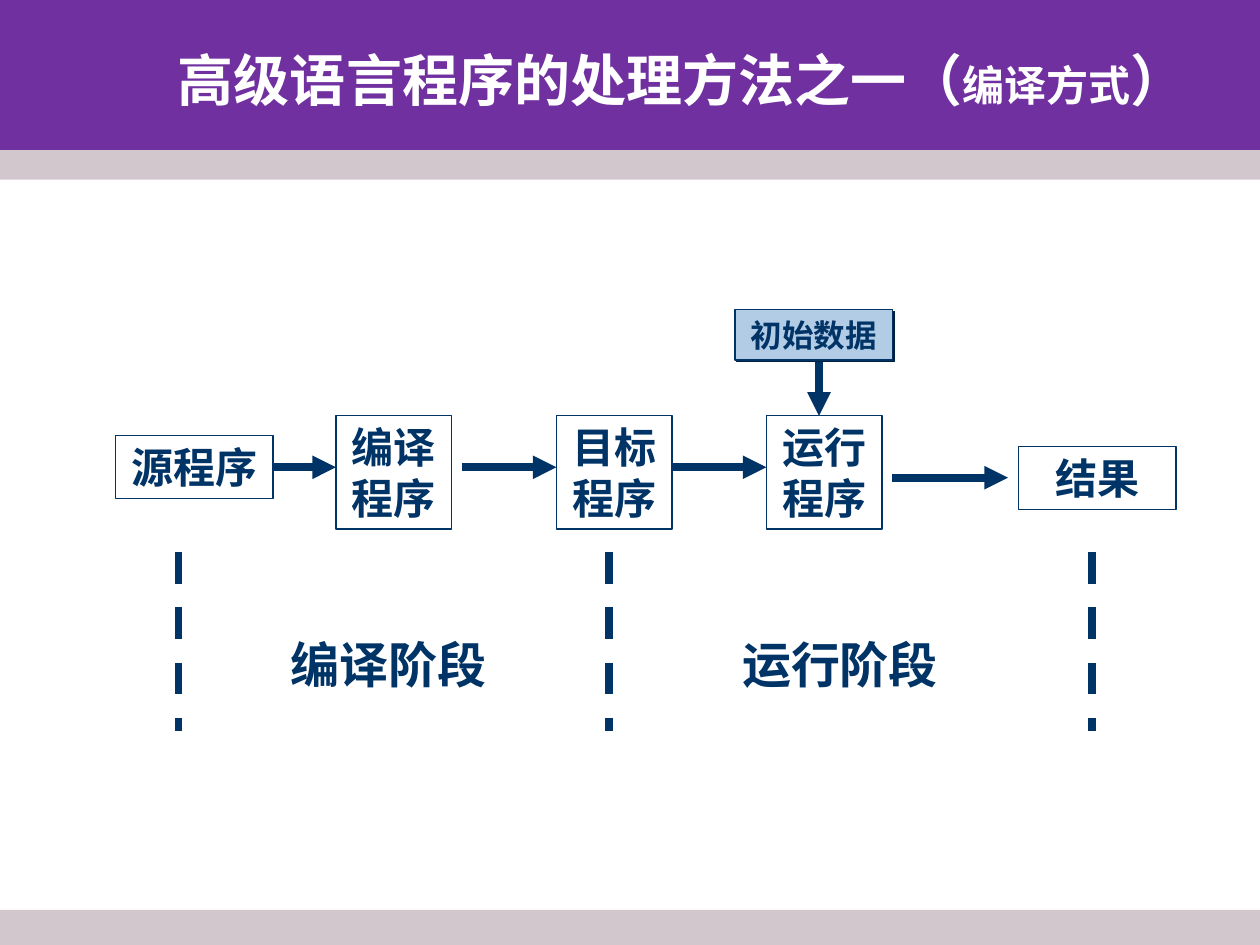
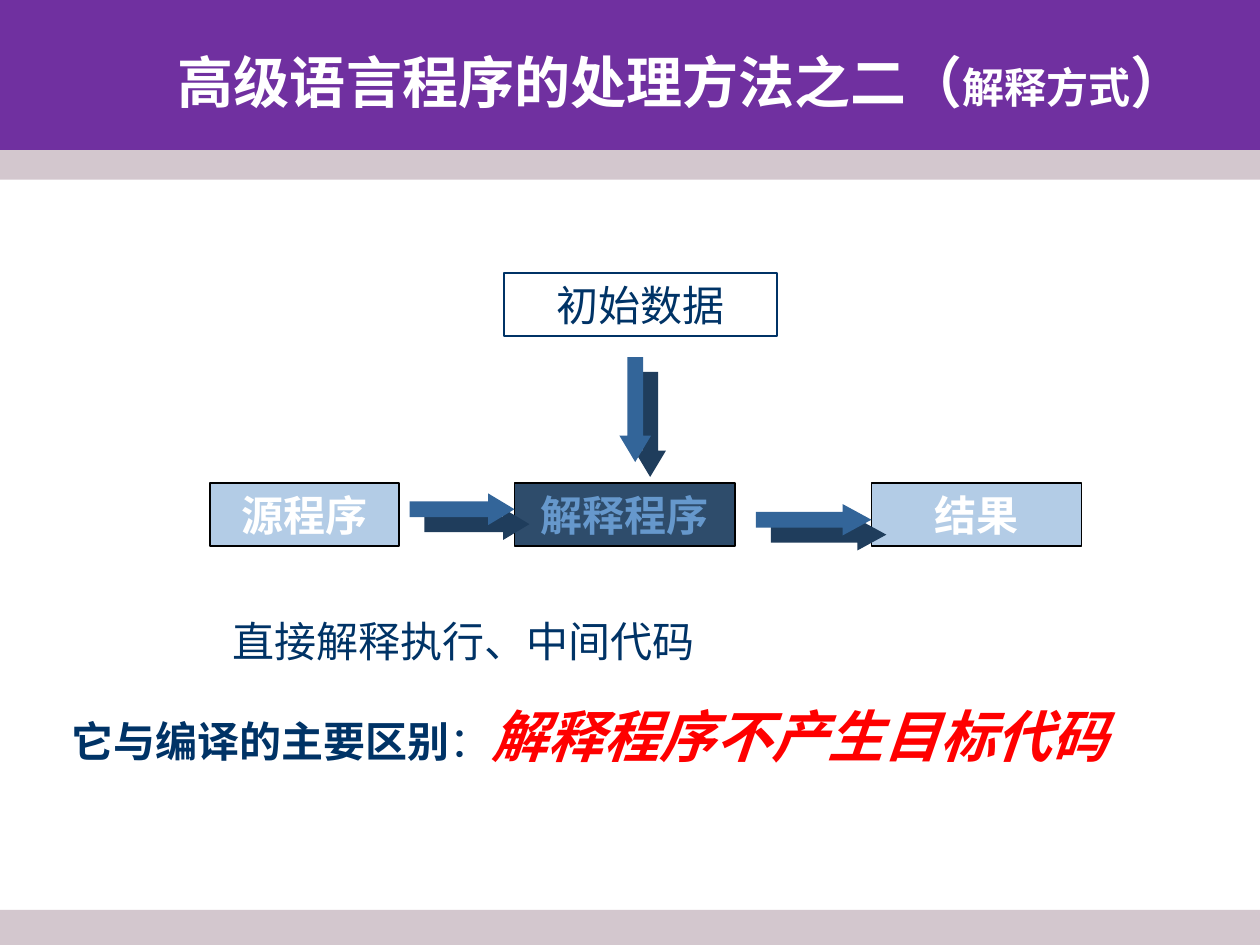
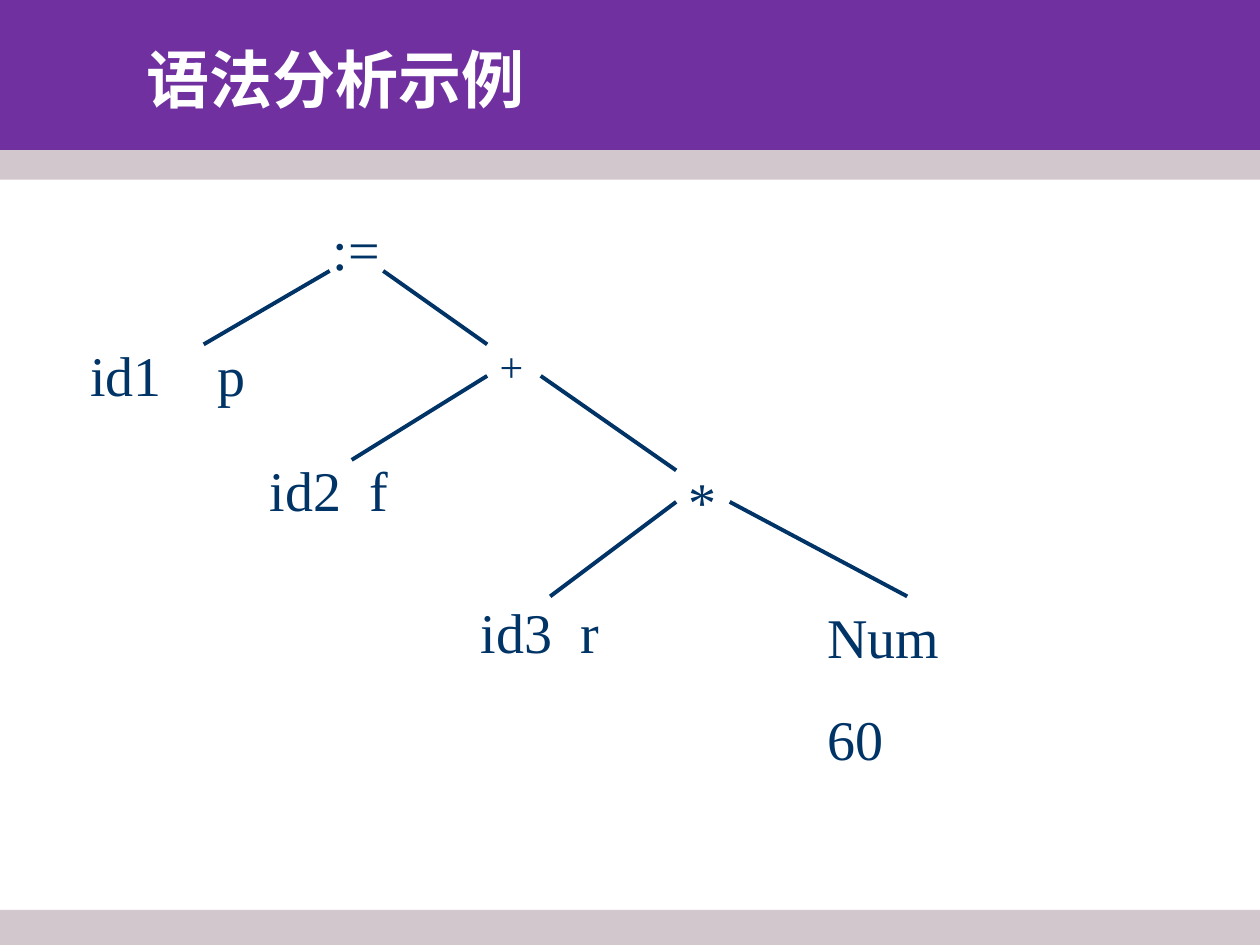
from dataclasses import dataclass

from lxml import etree
from pptx import Presentation
from pptx.dml.color import RGBColor
from pptx.enum.dml import MSO_LINE
from pptx.enum.shapes import MSO_CONNECTOR, MSO_SHAPE
from pptx.enum.text import MSO_ANCHOR, MSO_AUTO_SIZE, PP_ALIGN
from pptx.oxml.ns import qn
from pptx.util import Inches, Pt

CENTER, LEFT = PP_ALIGN.CENTER, PP_ALIGN.LEFT
TOP, MIDDLE = MSO_ANCHOR.TOP, MSO_ANCHOR.MIDDLE
FIXED_SIZE = MSO_AUTO_SIZE.NONE
RECTANGLE = MSO_SHAPE.RECTANGLE
RIGHT_ARROW, DOWN_ARROW = MSO_SHAPE.RIGHT_ARROW, MSO_SHAPE.DOWN_ARROW
STRAIGHT = MSO_CONNECTOR.STRAIGHT
DASH = MSO_LINE.DASH

SLIDE_WIDTH, SLIDE_HEIGHT = Inches(10), Inches(7.5)
COLUMNS, ROWS = 120, 90
TITLE_ONLY = 5
SERIF, SANS = "Times New Roman", "Noto Sans CJK SC"
COLORS = {
    "purple": "7030A0",
    "band": "D3C7CE",
    "navy": "003366",
    "navy_shadow": "001F3D",
    "pale": "B3CCE6",
    "slate": "2E4C6B",
    "sky": "6698CC",
    "arrow": "336599",
    "arrow_shadow": "1F3D5C",
    "white": "FFFFFF",
    "black": "000000",
    "red": "FF0000",
}


@dataclass
class Box:
    """A region of the slide, measured in grid columns and rows."""

    left: float
    top: float
    width: float
    height: float

    def point(self, column, row):
        """Turn a grid point inside the region into slide lengths."""
        return (
            round((self.left + column) * SLIDE_WIDTH / COLUMNS),
            round((self.top + row) * SLIDE_HEIGHT / ROWS),
        )

    def frame(self):
        """Give the region's left, top, width and height as slide lengths."""
        left, top = self.point(0, 0)
        right, bottom = self.point(self.width, self.height)
        return left, top, right - left, bottom - top

    def inner(self, left, top, width, height):
        """Give a region placed relative to this one."""
        return Box(self.left + left, self.top + top, width, height)


def rgb(name):
    """Look up a named colour."""
    return RGBColor.from_string(COLORS[name])


def format_run(run, size, color, bold=False, italic=False, font=SERIF):
    """Set the font of one run."""
    run.font.name = font
    run.font.size = Pt(size)
    run.font.color.rgb = rgb(color)
    run.font.bold = bold
    run.font.italic = italic


def prepare_frame(text_frame, anchor=TOP):
    """Give a text frame wrapping, a fixed size and an anchor."""
    text_frame.word_wrap = True
    text_frame.auto_size = FIXED_SIZE
    text_frame.vertical_anchor = anchor


def write_text(text_frame, text, size, color="navy", bold=False, align=CENTER):
    """Fill a text frame with evenly formatted paragraphs."""
    prepare_frame(text_frame)
    text_frame.text = text
    for paragraph in text_frame.paragraphs:
        paragraph.alignment = align
        paragraph.space_before = Pt(size * 0.625)
        for run in paragraph.runs:
            format_run(run, size, color, bold)


def write_runs(paragraph, runs):
    """Add runs, each a text with its font settings."""
    for text, settings in runs:
        run = paragraph.add_run()
        run.text = text
        format_run(run, **settings)


def add_shape(slide, kind, box, fill=None, line=None):
    """Add a flat preset shape."""
    shape = slide.shapes.add_shape(kind, *box.frame())
    shape.shadow.inherit = False
    if fill:
        shape.fill.solid()
        shape.fill.fore_color.rgb = rgb(fill)
    else:
        shape.fill.background()
    if line:
        shape.line.color.rgb = rgb(line)
        shape.line.width = Pt(0.75)
    else:
        shape.line.fill.background()
    return shape


def add_label_box(slide, box, text, size=24, color="navy", bold=True, fill=None, line="navy"):
    """Add a bordered box with centred text."""
    shape = add_shape(slide, RECTANGLE, box, fill, line)
    write_text(shape.text_frame, text, size, color, bold)
    return shape


def add_text(slide, box, text, size, bold=False, align=LEFT):
    """Add a plain text box."""
    text_frame = slide.shapes.add_textbox(*box.frame()).text_frame
    write_text(text_frame, text, size, bold=bold, align=align)
    return text_frame


def add_shadow(shape, color, distance):
    """Give a shape a hard shadow to the lower right."""
    effects = shape._element.spPr.find(qn("a:effectLst"))
    shadow = etree.SubElement(
        effects, qn("a:outerShdw"), dist=str(Pt(distance)), dir="2700000", algn="ctr", rotWithShape="0"
    )
    etree.SubElement(shadow, qn("a:srgbClr"), val=COLORS[color])


def add_line(slide, box, start, end, width, arrow=False, dash=None):
    """Add a straight line between two grid points of a region."""
    connector = slide.shapes.add_connector(STRAIGHT, *box.point(*start), *box.point(*end))
    connector.line.color.rgb = rgb("navy")
    connector.line.width = Pt(width)
    if dash:
        connector.line.dash_style = dash
    if arrow:
        etree.SubElement(connector.line._get_or_add_ln(), qn("a:tailEnd"), type="triangle")
    etree.SubElement(connector._element.spPr, qn("a:effectLst"))


def add_tab_stop(paragraph, position):
    """Set one left tab stop, in inches."""
    tabs = etree.SubElement(paragraph._p.get_or_add_pPr(), qn("a:tabLst"))
    etree.SubElement(tabs, qn("a:tab"), pos=str(Inches(position)), algn="l")


def decorate_layout(layout, slide):
    """Put the title band and both grey bands behind the layout's placeholders."""
    bands = [
        (Box(0, 0, 120, 15.7), "purple"),
        (Box(0, 14.3, 120, 2.8), "band"),
        (Box(0, 86.65, 120, 3.35), "band"),
    ]
    for index, (box, fill) in enumerate(bands):
        band = add_shape(slide, RECTANGLE, box, fill)
        layout.shapes._spTree.insert(2 + index, band._element)


def add_title(slide, box, runs, align):
    """Place the title placeholder and fill it with formatted runs."""
    title = slide.shapes.title
    title.left, title.top, title.width, title.height = box.frame()
    prepare_frame(title.text_frame, MIDDLE)
    paragraph = title.text_frame.paragraphs[0]
    paragraph.alignment = align
    write_runs(paragraph, runs)


def add_method_title(slide, box, heading, method):
    """Write a heading followed by a smaller method name in brackets."""
    large = dict(size=32, color="white", bold=True, font=SANS)
    small = dict(size=24, color="white", bold=True)
    add_title(slide, box, [(heading + "（", large), (method, small), ("）", large)], CENTER)


def draw_compile_flow(slide, box):
    """Draw the chain from source program to result."""
    add_label_box(slide, box.inner(0, 12, 15, 6), "源程序")
    for left, text in [(21, "编译程序"), (42, "目标程序"), (62, "运行程序")]:
        add_label_box(slide, box.inner(left, 10.1, 11, 10.8), text)
    add_label_box(slide, box.inner(86, 13, 15, 6), "结果")
    data = add_label_box(slide, box.inner(59, 0, 15, 4.8), "初始数据", size=18, fill="pale")
    add_shadow(data, "navy_shadow", 1.4)
    arrows = [
        ((15, 15), (21, 15)),
        ((33, 15), (42, 15)),
        ((53, 15), (62, 15)),
        ((74, 16), (85, 16)),
        ((67, 5), (67, 10.1)),
    ]
    for start, end in arrows:
        add_line(slide, box, start, end, 4.5, arrow=True)


def draw_stages(slide, box):
    """Draw the dashed dividers and the stage names between them."""
    for column in (0, 41, 87):
        add_line(slide, box, (column, 0), (column, box.height), 4.5, dash=DASH)
    for left, text in [(6, "编译阶段"), (49, "运行阶段")]:
        add_text(slide, box.inner(left, 7.2, 28, 6.9), text, 28, True, CENTER)


def draw_interpret_flow(slide, box):
    """Draw the interpreter with its inputs and result."""
    programs = [
        (0, 18, "源程序", "white", "pale"),
        (63, 20, "结果", "white", "pale"),
        (29, 21, "解释程序", "sky", "slate"),
    ]
    for left, width, text, color, fill in programs:
        add_label_box(slide, box.inner(left, 20, width, 6), text, color=color, fill=fill, line="black")
    arrows = [
        (RIGHT_ARROW, box.inner(19, 21, 10, 3)),
        (RIGHT_ARROW, box.inner(52, 22, 11, 3)),
        (DOWN_ARROW, box.inner(39, 8, 3, 10)),
    ]
    for kind, place in arrows:
        arrow = add_shape(slide, kind, place, "arrow")
        arrow.adjustments[0] = 0.5
        arrow.adjustments[1] = max(place.width, place.height) / 12
        add_shadow(arrow, "arrow_shadow", 12.1)
    add_label_box(slide, box.inner(28, 0, 26, 6), "初始数据", bold=False)


def draw_remarks(slide, box):
    """Write the remark and the main difference below it."""
    add_text(slide, box.inner(15.4, 0, 60, 6), "直接解释执行、中间代码", 24)
    text_frame = slide.shapes.add_textbox(*box.inner(0, 8.2, 102.5, 7.7).frame()).text_frame
    prepare_frame(text_frame)
    write_runs(text_frame.paragraphs[0], [
        ("它与编译的主要区别", dict(size=24, color="navy", bold=True)),
        ("：", dict(size=24, color="navy")),
        ("解释程序不产生目标代码", dict(size=32, color="red", bold=True, italic=True)),
    ])


def draw_syntax_tree(slide, box):
    """Draw the nodes and branches of the syntax tree."""
    nodes = [
        (23.1, 0, 8, 7.7, ":=", 32),
        (39, 12, 8, 6, "+", 24),
        (57, 24, 8, 7.7, "*", 32),
        (70.2, 37, 18.2, 17.4, "Num\n60", 32),
    ]
    for *place, text, size in nodes:
        add_text(slide, box.inner(*place), text, size)
    leaves = [
        (0, 12, 20, "id1\tp", 1.01),
        (17.1, 23, 15, "id2\tf", 0.79),
        (37.2, 36.5, 15.5, "id3\tr", 0.79),
    ]
    for left, top, width, text, tab in leaves:
        text_frame = add_text(slide, box.inner(left, top, width, 7.7), text, 32)
        add_tab_stop(text_frame.paragraphs[0], tab)
    branches = [
        ((24, 6), (12, 13)),
        ((29.1, 6), (39, 13)),
        ((39, 16), (26.1, 24)),
        ((44.1, 16), (57, 25)),
        ((57, 28), (45, 37)),
        ((62.1, 28), (79, 37)),
    ]
    for start, end in branches:
        add_line(slide, box, start, end, 2.25)


def main():
    """Build the three slides and save them."""
    presentation = Presentation()
    presentation.slide_width, presentation.slide_height = SLIDE_WIDTH, SLIDE_HEIGHT
    layout = presentation.slide_layouts[TITLE_ONLY]
    compiling, interpreting, parsing = [presentation.slides.add_slide(layout) for _ in range(3)]
    decorate_layout(layout, compiling)

    add_method_title(compiling, Box(11.4, 3.7, 107.2, 7.6), "高级语言程序的处理方法之一", "编译方式")
    draw_compile_flow(compiling, Box(11, 29.5, 101, 21))
    draw_stages(compiling, Box(17, 52.6, 87, 17))

    add_method_title(interpreting, Box(11.4, 3.9, 107.2, 7.6), "高级语言程序的处理方法之二", "解释方式")
    draw_interpret_flow(interpreting, Box(20, 26, 83, 26))
    draw_remarks(interpreting, Box(5.6, 58, 102.5, 16))

    heading = [("语法分析示例", dict(size=36, color="white", bold=True))]
    add_title(parsing, Box(12.8, 2.5, 107.2, 10), heading, LEFT)
    draw_syntax_tree(parsing, Box(7.4, 19.8, 88.4, 54.4))

    presentation.save("out.pptx")


if __name__ == "__main__":
    main()
